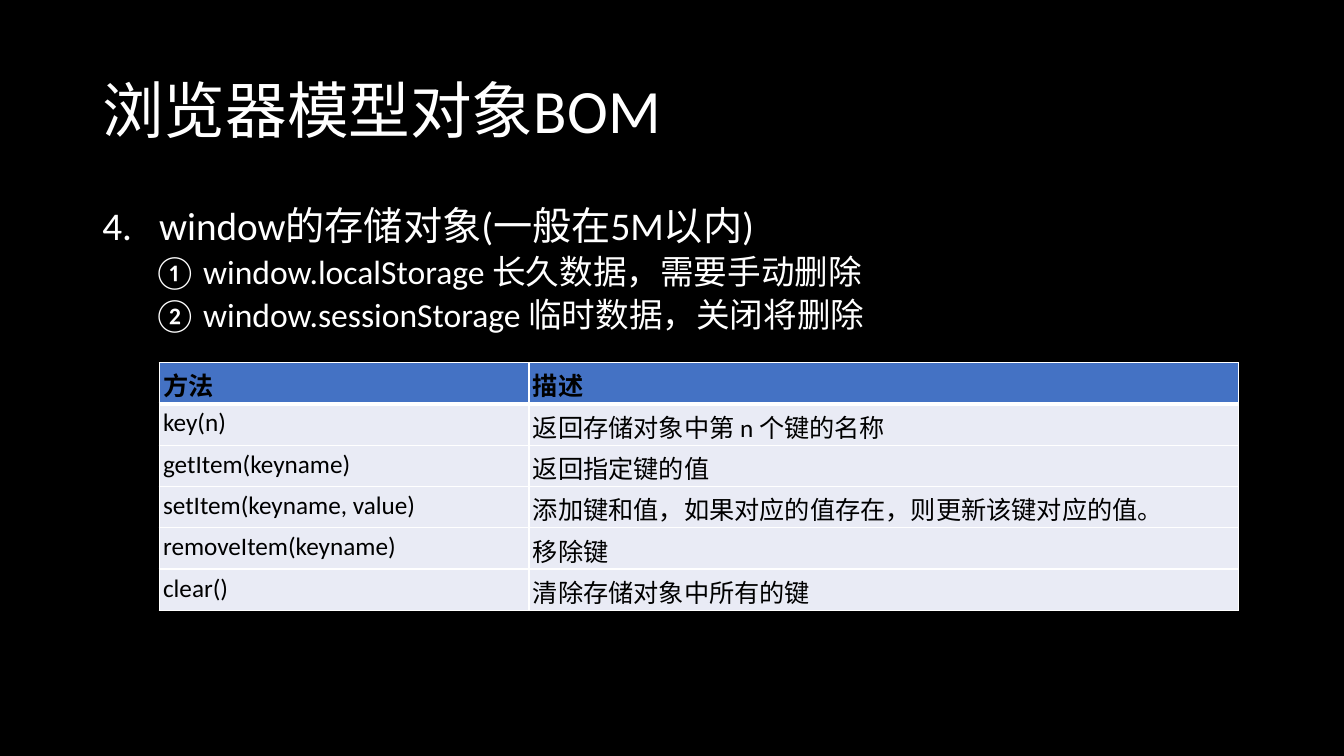
"""Build the slide on the BOM storage objects of window."""
from dataclasses import dataclass

from lxml.etree import SubElement
from pptx import Presentation
from pptx.dml.color import RGBColor
from pptx.enum.text import MSO_ANCHOR as Anchor
from pptx.oxml.ns import qn
from pptx.util import Cm, Pt

WHITE, BLACK, BLUE, PALE = "FFFFFF", "000000", "4472C4", "E9EBF5"
FONT = "Calibri"


@dataclass(frozen=True)
class Point:
    """One numbered line; lengths in cm, space in points."""
    text: str
    level: int
    size: int
    margin: float
    hanging: float
    space: int
    numbering: str
    start: int = 1


@dataclass(frozen=True)
class RowStyle:
    """Look of one table row; borders in points, margin in cm."""
    fill: str
    bold: bool
    top: int
    bottom: int
    margin_bottom: float


def colour(value: str) -> RGBColor:
    """Turn a hex string into a colour."""
    return RGBColor.from_string(value)


def style(paragraph, text: str, size: int, ink: str, bold: bool = False) -> None:
    """Write a paragraph and set its font."""
    paragraph.text = text
    font = paragraph.font
    font.name, font.size, font.bold = FONT, Pt(size), bold
    font.color.rgb = colour(ink)


def add_frame(slide, top: float, height: float, anchor: Anchor):
    """Add a wrapping text box of the full content width."""
    box = slide.shapes.add_textbox(Cm(2.33), Cm(top), Cm(29.21), Cm(height))
    frame = box.text_frame
    frame.word_wrap = True
    frame.vertical_anchor = anchor
    return frame


def write_point(paragraph, point: Point) -> None:
    """Write one automatically numbered line."""
    paragraph.level = point.level
    paragraph.line_spacing = 0.9
    paragraph.space_before = Pt(point.space)
    properties = paragraph._p.get_or_add_pPr()
    properties.set("marL", str(Cm(point.margin)))
    properties.set("indent", str(-Cm(point.hanging)))
    number = SubElement(properties, qn("a:buAutoNum"), type=point.numbering)
    if point.start > 1:
        number.set("startAt", str(point.start))
    style(paragraph, point.text, point.size, WHITE)


def draw_cell(cell, text: str, look: RowStyle) -> None:
    """Fill, border and write one table cell."""
    cell.margin_left = cell.margin_right = cell.margin_top = Cm(0.1)
    cell.margin_bottom = Cm(look.margin_bottom)
    properties = cell._tc.get_or_add_tcPr()
    for side, width in zip("LRTB", (1, 1, look.top, look.bottom)):
        line = SubElement(properties, qn(f"a:ln{side}"), w=str(Pt(width)))
        SubElement(SubElement(line, qn("a:solidFill")), qn("a:srgbClr"), val=WHITE)
    cell.fill.solid()
    cell.fill.fore_color.rgb = colour(look.fill)
    style(cell.text_frame.paragraphs[0], text, 18, BLACK, look.bold)


def draw_methods(slide, methods: list[tuple[str, str]]) -> None:
    """Draw the table of storage methods under its header."""
    widths = (9.32, 17.88)
    row_height = 1.04
    table = slide.shapes.add_table(
        len(methods), len(widths), Cm(4.01), Cm(9.14),
        Cm(sum(widths)), Cm(row_height * len(methods))).table
    table.horz_banding = False
    for column, width in zip(table.columns, widths):
        column.width = Cm(width)
    header = RowStyle(BLUE, True, 1, 3, 0.05)
    first = RowStyle(PALE, False, 3, 1, 0.13)
    later = RowStyle(PALE, False, 1, 1, 0.13)
    looks = [header, first] + [later] * (len(methods) - 2)
    for row, texts, look in zip(table.rows, methods, looks):
        row.height = Cm(row_height)
        for cell, text in zip(row.cells, texts):
            draw_cell(cell, text, look)


POINTS = [
    Point("window的存储对象(一般在5M以内)", 0, 28, 1.43, 1.43, 10, "arabicPeriod", 4),
    *(Point(text, 1, 24, 2.54, 1.27, 5, "circleNumDbPlain") for text in (
        "window.localStorage 长久数据，需要手动删除",
        "window.sessionStorage 临时数据，关闭将删除")),
]
METHODS = [
    ("方法", "描述"),
    ("key(n)", "返回存储对象中第\u00a0n\u00a0个键的名称"),
    ("getItem(keyname)", "返回指定键的值"),
    ("setItem(keyname,\u00a0value)", "添加键和值，如果对应的值存在，则更新该键对应的值。"),
    ("removeItem(keyname)", "移除键"),
    ("clear()", "清除存储对象中所有的键"),
]


def main() -> None:
    """Build and save the slide."""
    deck = Presentation()
    deck.slide_width, deck.slide_height = Cm(33.87), Cm(19.05)
    slide = deck.slides.add_slide(deck.slide_layouts[6])
    slide.background.fill.solid()
    slide.background.fill.fore_color.rgb = colour(BLACK)

    title = add_frame(slide, 1.01, 3.68, Anchor.MIDDLE).paragraphs[0]
    title.line_spacing = 0.9
    style(title, "浏览器模型对象BOM", 44, WHITE)

    storage = add_frame(slide, 5.07, 12.09, Anchor.TOP)
    for index, point in enumerate(POINTS):
        write_point(storage.add_paragraph() if index else storage.paragraphs[0], point)

    draw_methods(slide, METHODS)
    deck.save("out.pptx")


main()
